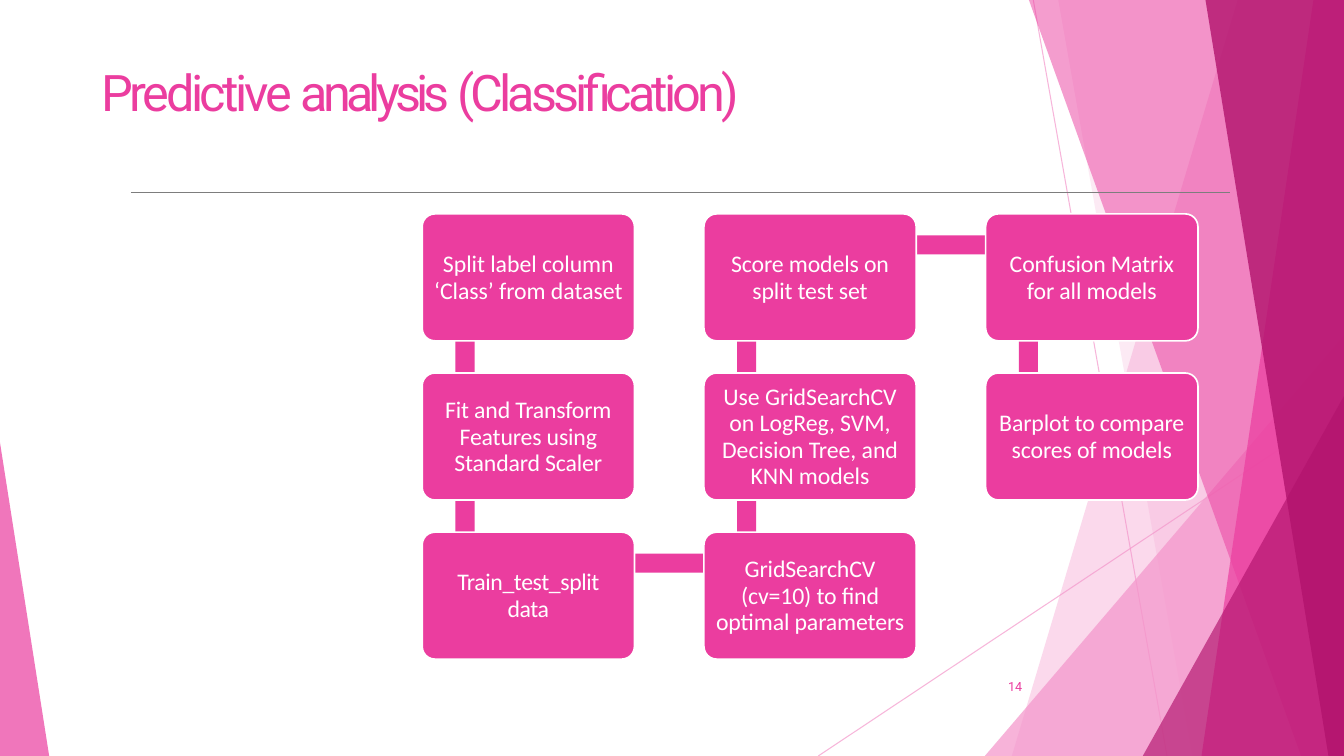
"""Build the slide on the steps of the classification analysis."""
from pptx import Presentation
from pptx.dml import color
from pptx.enum import shapes, text
from pptx.oxml import ns, xmlchemy
from pptx.util import Cm, Pt

PINK = color.RGBColor(0xEB, 0x3D, 0x9F)
LIGHT_PINK = color.RGBColor(0xF4, 0x96, 0xCB)
DARK_PINK = color.RGBColor(0xB2, 0x13, 0x6D)
GREY = color.RGBColor(0x7D, 0x7D, 0x7D)
WHITE = color.RGBColor(0xFF, 0xFF, 0xFF)

WIDTH, HEIGHT = 33.87, 19.05
CARD_LEFT, CARD_TOP = 10.64, 5.39
CARD_WIDTH, CARD_HEIGHT = 5.35, 3.2
STEP_X, STEP_Y = 7.1, 4.01
BAR = 0.48

STEPS = [
    (0, 0, "Split label column\v‘Class’ from dataset", -0.05),
    (0, 1, "Fit and Transform\vFeatures using\vStandard Scaler", -0.15),
    (0, 2, "Train_test_split\vdata", -0.3),
    (1, 2, "GridSearchCV\v(cv=10) to find\voptimal parameters", -0.1),
    (1, 1, "Use GridSearchCV\von LogReg, SVM,\vDecision Tree, and\vKNN models", -0.05),
    (1, 0, "Score models on\vsplit test set", -0.1),
    (2, 0, "Confusion Matrix\vfor all models", -0.1),
    (2, 1, "Barplot to compare\vscores of models", -0.1),
]


def set_opacity(shape, percent):
    """Make every colour of a shape partly transparent."""
    for tint in shape.element.spPr.iter(ns.qn("a:srgbClr")):
        alpha = xmlchemy.OxmlElement("a:alpha")
        alpha.set("val", str(percent * 1000))
        tint.append(alpha)


def set_tracking(span, points):
    """Set the letter spacing of a run."""
    span.font.size = span.font.size
    span.font._element.set("spc", str(round(points * 100)))


def paint(shape, tint, opacity=100):
    """Give a shape a plain fill without outline or shadow."""
    shape.shadow.inherit = False
    shape.fill.solid()
    shape.fill.fore_color.rgb = tint
    shape.line.fill.background()
    if opacity < 100:
        set_opacity(shape, opacity)


def add_line(page, start, end, tint, weight, opacity=100):
    """Draw a thin straight line."""
    line = page.shapes.add_connector(
        shapes.MSO_CONNECTOR.STRAIGHT, *map(Cm, start + end))
    line.line.color.rgb = tint
    line.line.width = Pt(weight)
    if opacity < 100:
        set_opacity(line, opacity)
    line.element.spPr.append(xmlchemy.OxmlElement("a:effectLst"))


def add_facet(page, top_x, bottom_x, tint, opacity):
    """Fill the area between a slanted edge and the right slide edge."""
    builder = page.shapes.build_freeform(Cm(top_x), 0)
    corners = [(WIDTH, 0), (WIDTH, HEIGHT), (bottom_x, HEIGHT)]
    builder.add_line_segments([(Cm(x), Cm(y)) for x, y in corners])
    paint(builder.convert_to_shape(), tint, opacity)


def add_triangle(page, left, top, width, apex, tint, opacity):
    """Add a right triangle standing on the bottom slide edge."""
    triangle = page.shapes.add_shape(
        shapes.MSO_SHAPE.ISOSCELES_TRIANGLE,
        Cm(left), Cm(top), Cm(width), Cm(HEIGHT - top))
    triangle.adjustments[0] = apex
    paint(triangle, tint, opacity)


def add_decoration(page):
    """Draw the faceted background."""
    add_line(page, (26.04, 0), (29.41, HEIGHT), LIGHT_PINK, 0.75, 70)
    add_line(page, (WIDTH, 10.24), (20.62, HEIGHT), LIGHT_PINK, 0.75, 70)
    add_facet(page, 31.19, 25.5, LIGHT_PINK, 36)
    add_facet(page, 26.67, 30.05, LIGHT_PINK, 20)
    add_triangle(page, 24.82, 8.46, 9.05, 1, LIGHT_PINK, 72)
    add_facet(page, 25.93, 32.79, PINK, 50)
    add_facet(page, 33.1, 30.28, PINK, 70)
    add_facet(page, 30.38, 33.48, DARK_PINK, 80)
    add_triangle(page, 28.8, 9.98, 5.07, 1, DARK_PINK, 66)
    add_triangle(page, 0, 11.15, 1.24, 0, PINK, 70)


def add_label(page, left, top, width, height, size, spans):
    """Add a pink text box from pairs of wording and letter spacing."""
    box = page.shapes.add_textbox(Cm(left), Cm(top), Cm(width), Cm(height))
    frame = box.text_frame
    frame.word_wrap = True
    frame.margin_left = frame.margin_right = 0
    frame.margin_top = frame.margin_bottom = 0
    para = frame.paragraphs[0]
    para.font.name = "Roboto"
    para.font.size = Pt(size)
    para.font.color.rgb = PINK
    for wording, tracking in spans:
        span = para.add_run()
        span.text = wording
        span.font._element.set("spc", str(round(tracking * 100)))
    return frame


def card_corner(column, row):
    """Return the left and top of a card in the grid."""
    return CARD_LEFT + column * STEP_X, CARD_TOP + row * STEP_Y


def add_bar(page, step, following):
    """Add the bar that leads from one step to the next."""
    column, row = step[:2]
    next_column, next_row = following[:2]
    left, top = card_corner(column, min(row, next_row))
    if column == next_column:
        place = (left + 0.84, top + 0.81, BAR, STEP_Y)
    else:
        place = (left + 1.09, top + 0.54, STEP_X, BAR)
    bar = page.shapes.add_shape(shapes.MSO_SHAPE.RECTANGLE, *map(Cm, place))
    paint(bar, PINK)


def add_card(page, column, row, wording, tracking):
    """Add a rounded card with its wording."""
    left, top = card_corner(column, row)
    card = page.shapes.add_shape(
        shapes.MSO_SHAPE.ROUNDED_RECTANGLE,
        Cm(left), Cm(top), Cm(CARD_WIDTH), Cm(CARD_HEIGHT))
    card.adjustments[0] = 0.1
    paint(card, PINK)
    card.line.color.rgb = WHITE
    card.line.width = Pt(1.2)
    frame = card.text_frame
    frame.word_wrap = True
    frame.margin_left = frame.margin_right = Cm(0.1)
    frame.margin_top = frame.margin_bottom = 0
    frame.vertical_anchor = text.MSO_ANCHOR.MIDDLE
    frame.text = wording
    para = frame.paragraphs[0]
    para.alignment = text.PP_ALIGN.CENTER
    para.line_spacing = Pt(19)
    para.font.name = "Calibri"
    para.font.size = Pt(17)
    para.font.color.rgb = WHITE
    for span in para.runs:
        span.font._element.set("spc", str(round(tracking * 100)))


def main():
    """Build and save the deck."""
    deck = Presentation()
    deck.slide_width, deck.slide_height = Cm(WIDTH), Cm(HEIGHT)
    page = deck.slides.add_slide(deck.slide_layouts[6])
    add_decoration(page)
    add_line(page, (3.3, 4.84), (30.99, 4.84), GREY, 0.48)
    add_label(page, 2.56, 1.55, 22, 2.1, 36, [
        ("Predictive ", -2.5), ("analysis ", -3.5), ("(Classification)", -2.8)])
    number = add_label(page, 23.85, 16.79, 1.91, 1.02, 9, [("14", 0)])
    number.vertical_anchor = text.MSO_ANCHOR.MIDDLE
    number.paragraphs[0].alignment = text.PP_ALIGN.RIGHT
    for step, following in zip(STEPS, STEPS[1:]):
        add_bar(page, step, following)
    for step in STEPS:
        add_card(page, *step)
    deck.save("out.pptx")


if __name__ == "__main__":
    main()
